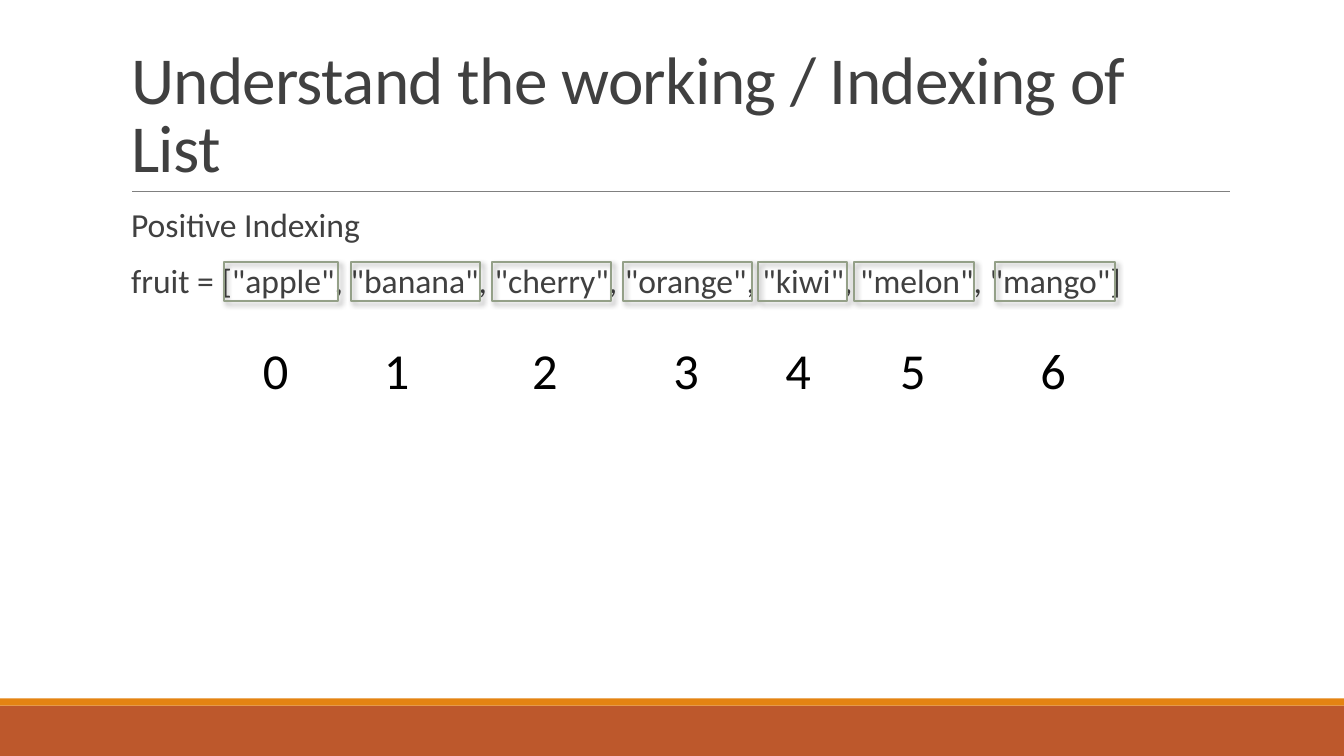
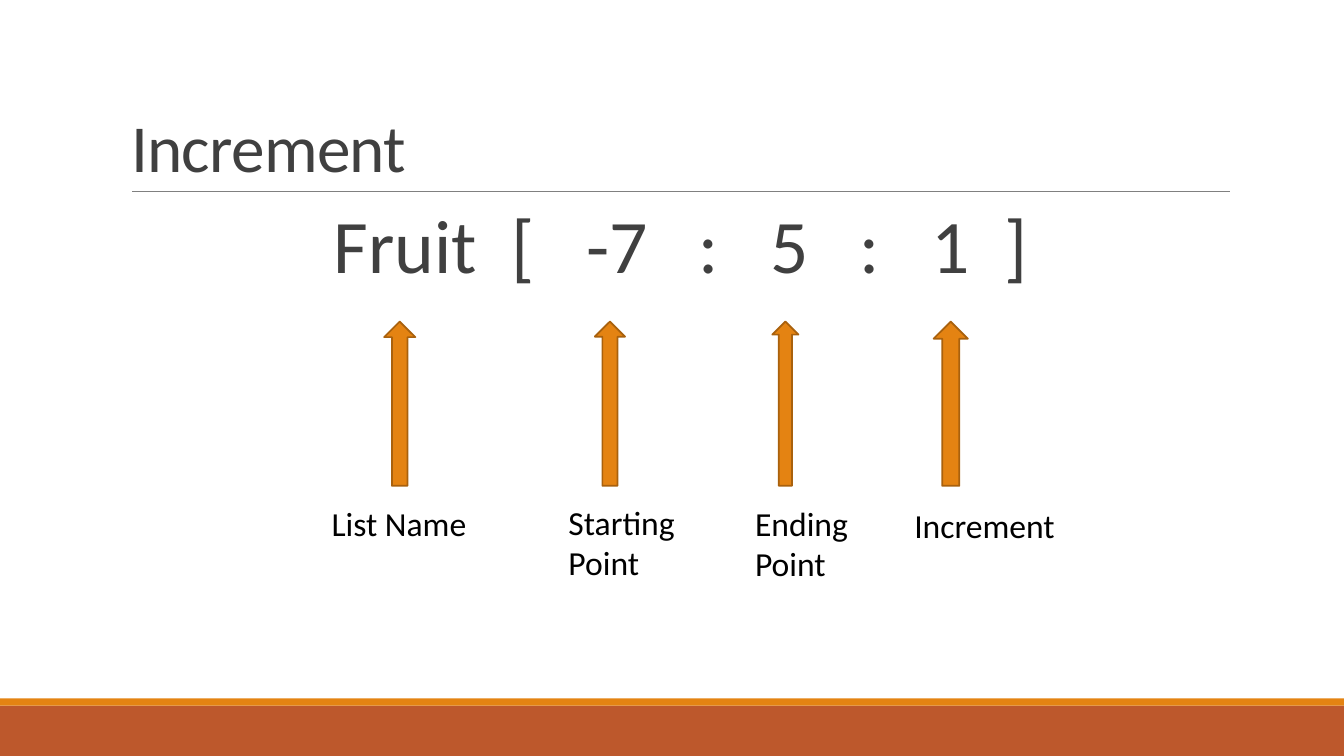
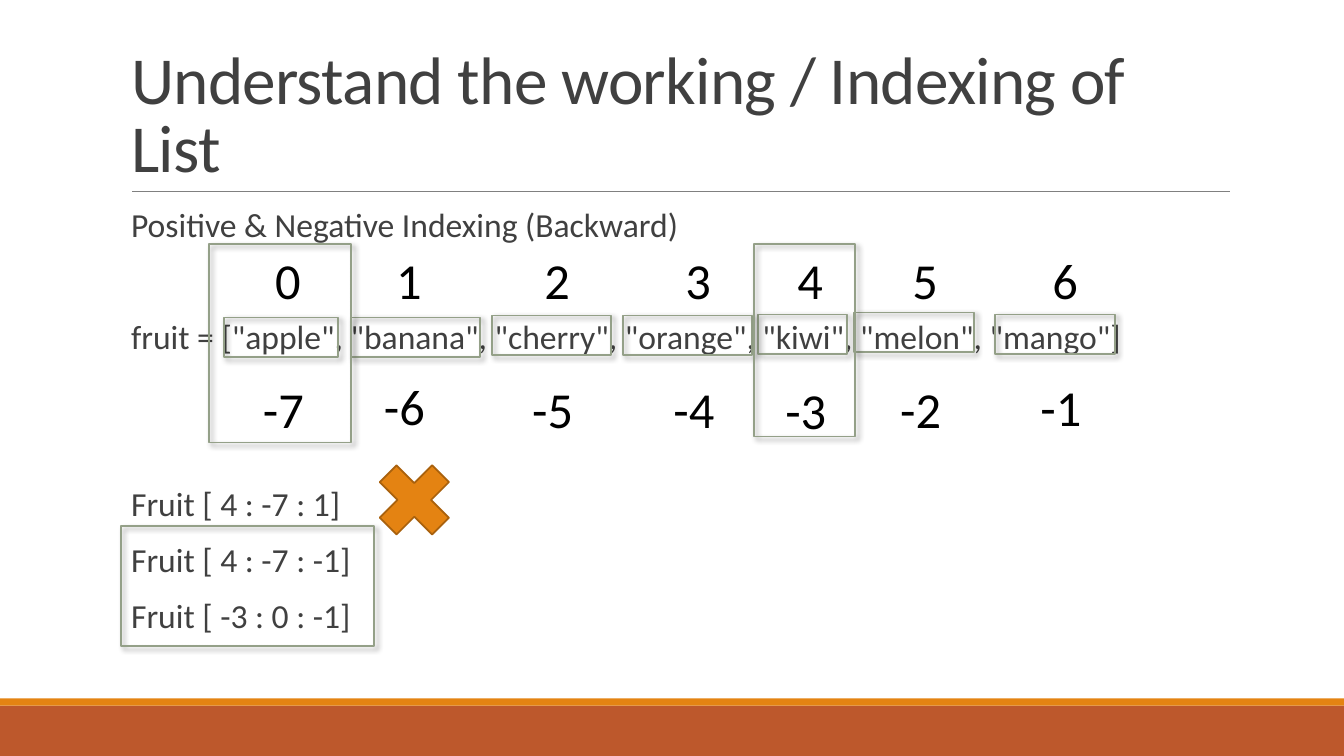
from typing import NamedTuple

from lxml import etree
from pptx import Presentation
from pptx.dml.color import RGBColor
from pptx.enum import shapes, text
from pptx.oxml import ns
from pptx.util import Inches, Pt

FONT = "Calibri"
RUST = RGBColor(0xBD, 0x58, 0x2C)
ORANGE = RGBColor(0xE4, 0x83, 0x12)
BROWN = RGBColor(0xA9, 0x61, 0x0D)
SAGE = RGBColor(0x94, 0xA0, 0x88)
RULE_GREY = RGBColor(0x80, 0x80, 0x80)
DARK = RGBColor(0x40, 0x40, 0x40)
BLACK = RGBColor(0, 0, 0)

INDEXING_TITLE = "Understand the working / Indexing of List"
FRUIT_LIST = 'fruit = ["apple", "banana", "cherry", "orange", "kiwi", "melon", "mango"]'
SLICE_SIZE = 54
NARROW_GAP, WIDE_GAP = 12.2, 24.4


class Item(NamedTuple):
    """One list element: its frame, its index label, and its places on the backward slide."""
    left: float
    width: float
    label_left: float
    backward_top: float
    negative_top: float
    negative_width: float


class Line(NamedTuple):
    text: str
    before: float = 12


class Part(NamedTuple):
    """An arrow and the caption under it."""
    caption: str
    arrow_left: float
    arrow_width: float
    left: float
    top: float
    width: float


class Token(NamedTuple):
    """A piece of the slice, and the points added to the space before it."""
    text: str
    gap: float


ITEMS = [
    Item(2.22, 1.13, 2.51, 3.15, 3.70, 0.77),
    Item(3.48, 1.28, 3.71, 3.15, 3.67, 0.90),
    Item(4.88, 1.18, 5.18, 3.13, 3.70, 0.84),
    Item(6.18, 1.28, 6.58, 3.13, 3.70, 0.69),
    Item(7.52, 0.88, 7.69, 3.12, 3.71, 0.71),
    Item(8.47, 1.19, 8.83, 3.10, 3.70, 0.83),
    Item(9.87, 1.19, 10.22, 3.12, 3.68, 0.71),
]

PARTS = [
    Part("List Name", 3.81, 0.31, 3.19, 4.94, 1.60),
    Part("Starting Point", 5.90, 0.30, 5.54, 4.93, 1.63),
    Part("Ending Point", 7.66, 0.26, 7.39, 4.94, 1.68),
    Part("Increment", 9.26, 0.34, 8.97, 4.96, 1.64),
]

SLICE_TAIL = [
    Token("[", NARROW_GAP),
    *(Token(word, WIDE_GAP) for word in ("-7", ":", "5", ":", "1")),
    Token("]", NARROW_GAP),
]


def place(sp, left: float, top: float, width: float, height: float) -> None:
    sp.left, sp.top = Inches(left), Inches(top)
    sp.width, sp.height = Inches(width), Inches(height)


def add_run(p, words: str, size: float, color: RGBColor, spacing: float = 0) -> None:
    """Add a run; spacing is the points added after each letter."""
    r = p.add_run()
    r.text = words
    r.font.name, r.font.size, r.font.color.rgb = FONT, Pt(size), color
    if spacing:
        r.font._element.set("spc", str(round(spacing * 100)))


def add_preset(s, kind, left, top, width, height, fill=None, line=None):
    sp = s.shapes.add_shape(kind, Inches(left), Inches(top), Inches(width), Inches(height))
    sp.shadow.inherit = False
    if fill is None:
        sp.fill.background()
    else:
        sp.fill.solid()
        sp.fill.fore_color.rgb = fill
    if line is None:
        sp.line.fill.background()
    else:
        sp.line.color.rgb = line
        sp.line.width = Pt(1.25)
    return sp


def add_frame(s, left: float, top: float, width: float, height: float) -> None:
    """Add an unfilled box with a soft shadow."""
    sp = add_preset(s, shapes.MSO_SHAPE.RECTANGLE, left, top, width, height, line=SAGE)
    effects = sp._element.spPr.find(ns.qn("a:effectLst"))
    shadow = etree.SubElement(effects, ns.qn("a:outerShdw"), blurRad=str(Pt(4)),
                              dist=str(Pt(3)), dir="2700000", algn="tl", rotWithShape="0")
    color = etree.SubElement(shadow, ns.qn("a:srgbClr"), val="000000")
    etree.SubElement(color, ns.qn("a:alpha"), val="40000")


def add_label(s, words: str, left: float, top: float, width: float, height: float,
              size: float) -> None:
    sp = s.shapes.add_textbox(Inches(left), Inches(top), Inches(width), Inches(height))
    tf = sp.text_frame
    tf.word_wrap = True
    tf.auto_size = text.MSO_AUTO_SIZE.SHAPE_TO_FIT_TEXT
    add_run(tf.paragraphs[0], words, size, BLACK)


def add_index(s, number: int, left: float, top: float, width: float = 0.59) -> None:
    add_label(s, str(number), left, top, width, 0.73, 36)


def add_titled_slide(prs, title: str):
    """Add a slide with the bands, the rule and the title."""
    s = prs.slides.add_slide(prs.slide_layouts[1])
    add_preset(s, shapes.MSO_SHAPE.RECTANGLE, 0, 7, 13.33, 0.5, fill=RUST)
    add_preset(s, shapes.MSO_SHAPE.RECTANGLE, 0, 6.93, 13.33, 0.07, fill=ORANGE)
    rule = s.shapes.add_connector(shapes.MSO_CONNECTOR.STRAIGHT, Inches(1.31), Inches(1.9),
                                  Inches(12.2), Inches(1.9))
    rule.line.color.rgb = RULE_GREY
    rule.line.width = Pt(0.5)
    etree.SubElement(rule._element.spPr, ns.qn("a:effectLst"))

    place(s.shapes.title, 1.2, 0.31, 11, 1.59)
    tf = s.shapes.title.text_frame
    tf.auto_size = text.MSO_AUTO_SIZE.NONE
    tf.vertical_anchor = text.MSO_ANCHOR.BOTTOM
    p = tf.paragraphs[0]
    p.alignment = text.PP_ALIGN.LEFT
    p.line_spacing = 0.85
    add_run(p, title, 48, DARK, spacing=-0.5)
    return s


def fill_body(s, lines: list[Line], size: float = 24) -> list:
    """Write the lines without bullets and return their paragraphs."""
    body = s.placeholders[1]
    place(body, 1.2, 2.02, 11, 4.4)
    tf = body.text_frame
    tf.auto_size = text.MSO_AUTO_SIZE.NONE
    tf.margin_left = tf.margin_right = 0
    for i, line in enumerate(lines):
        p = tf.add_paragraph() if i else tf.paragraphs[0]
        p.line_spacing = 0.9
        p.space_before, p.space_after = Pt(line.before), Pt(2)
        pPr = p._p.get_or_add_pPr()
        pPr.set("marL", str(Inches(0.1)))
        pPr.set("indent", "0")
        etree.SubElement(pPr, ns.qn("a:buNone"))
        add_run(p, line.text, size, DARK)
    return list(tf.paragraphs)


def build_positive_indexing(prs) -> None:
    s = add_titled_slide(prs, INDEXING_TITLE)
    fill_body(s, [Line("Positive Indexing"), Line(FRUIT_LIST)])
    for i, item in enumerate(ITEMS):
        add_frame(s, item.left, 2.6, item.width, 0.39)
        add_index(s, i, item.label_left, 3.32)


def build_increment(prs) -> None:
    s = add_titled_slide(prs, "Increment")
    p = fill_body(s, [Line("Fruit")], SLICE_SIZE)[0]
    p.alignment = text.PP_ALIGN.CENTER
    for token in SLICE_TAIL:
        add_run(p, " ", SLICE_SIZE, DARK, token.gap)
        add_run(p, token.text, SLICE_SIZE, DARK)
    for part in PARTS:
        add_preset(s, shapes.MSO_SHAPE.UP_ARROW, part.arrow_left, 3.19, part.arrow_width, 1.63,
                   fill=ORANGE, line=BROWN)
        height = 0.91 if part.caption.endswith("Point") else 0.5
        add_label(s, part.caption, part.left, part.top, part.width, height, 24)


def build_backward_indexing(prs) -> None:
    s = add_titled_slide(prs, INDEXING_TITLE)
    fill_body(s, [
        Line("Positive & Negative Indexing (Backward)"),
        Line(FRUIT_LIST, before=52),
        Line("Fruit [ 4 : -7 : 1]", before=91.5),
        Line("Fruit [ 4 : -7 : -1]"),
        Line("Fruit [ -3 : 0 : -1]"),
    ])
    for i, item in enumerate(ITEMS):
        add_frame(s, item.left, item.backward_top, item.width, 0.39)
        add_index(s, i, item.label_left + 0.12, 2.42)
        add_index(s, i - len(ITEMS), item.label_left, item.negative_top, item.negative_width)
    add_frame(s, 2.07, 2.42, 1.41, 1.97)
    add_frame(s, 7.48, 2.42, 1, 1.91)
    add_preset(s, shapes.MSO_SHAPE.MATH_MULTIPLY, 3.61, 4.46, 1, 1, fill=ORANGE, line=BROWN)
    add_frame(s, 1.2, 5.22, 2.51, 1.19)


def main() -> None:
    prs = Presentation()
    prs.slide_width, prs.slide_height = Inches(13.33), Inches(7.5)
    build_positive_indexing(prs)
    build_increment(prs)
    build_backward_indexing(prs)
    prs.save("out.pptx")


if __name__ == "__main__":
    main()
